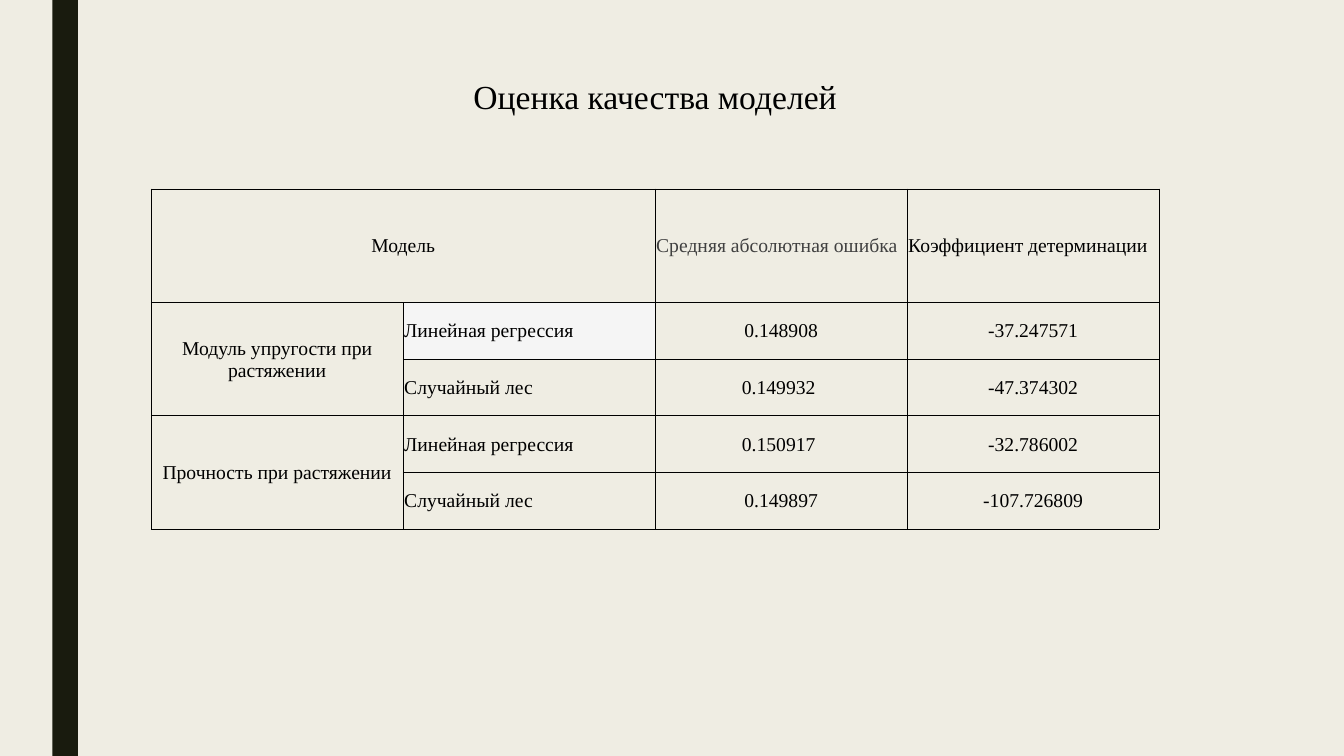
from dataclasses import dataclass

from lxml.etree import SubElement
from pptx import Presentation
from pptx.dml.color import RGBColor
from pptx.enum.shapes import MSO_SHAPE
from pptx.enum.text import MSO_ANCHOR, PP_ALIGN
from pptx.oxml.ns import qn
from pptx.slide import Slide
from pptx.table import Table, _Cell
from pptx.text.text import TextFrame
from pptx.util import Emu, Inches, Pt

WIDTH, HEIGHT = Inches(13.33), Inches(7.5)
FONT = "Times New Roman"

CREAM = RGBColor(0xEF, 0xED, 0xE3)
OLIVE = RGBColor(0x19, 0x1B, 0x0E)
BLACK = RGBColor(0x00, 0x00, 0x00)
GREY = RGBColor(0x40, 0x40, 0x40)
PALE = RGBColor(0xF5, 0xF5, 0xF5)

# Shares of the slide's width and height
LEFT = 0.1125
COLUMN = 0.1875
ROW = 0.075
COLUMN_COUNT = 4
ROW_SPANS = (2, 1, 1, 1, 1)


@dataclass(frozen=True)
class Entry:
    row: int
    column: int
    text: str
    align: PP_ALIGN = PP_ALIGN.CENTER
    color: RGBColor = BLACK
    fill: RGBColor | None = None
    rows: int = 1
    columns: int = 1


@dataclass(frozen=True)
class Score:
    model: str
    error: str
    determination: str
    fill: RGBColor | None = None


HEADINGS = [
    Entry(0, 0, "Модель", columns=2),
    Entry(0, 2, "Средняя абсолютная ошибка", PP_ALIGN.LEFT, GREY),
    Entry(0, 3, "Коэффициент детерминации", PP_ALIGN.LEFT),
    Entry(1, 0, "Модуль упругости при растяжении", rows=2),
    Entry(3, 0, "Прочность при растяжении", rows=2),
]
SCORES = [
    Score("Линейная регрессия", "0.148908", "-37.247571", PALE),
    Score("Случайный лес", "0.149932 ", "-47.374302"),
    Score("Линейная регрессия", "0.150917 ", "-32.786002"),
    Score("Случайный лес", "0.149897", "-107.726809"),
]


def across(share: float) -> Emu:
    return Emu(round(WIDTH * share))


def down(share: float) -> Emu:
    return Emu(round(HEIGHT * share))


def write(frame: TextFrame, text: str, *, size: float = 14, color: RGBColor = BLACK,
          align: PP_ALIGN = PP_ALIGN.CENTER, spacing: float = 1.0) -> None:
    paragraph = frame.paragraphs[0]
    paragraph.alignment = align
    paragraph.line_spacing = spacing
    run = paragraph.add_run()
    run.text = text
    run.font.name = FONT
    run.font.size = Pt(size)
    run.font.color.rgb = color


def add_borders(cell: _Cell) -> None:
    properties = cell._tc.get_or_add_tcPr()
    for side in ("a:lnL", "a:lnR", "a:lnT", "a:lnB"):
        line = SubElement(properties, qn(side), w=str(Pt(0.5)))
        SubElement(SubElement(line, qn("a:solidFill")), qn("a:srgbClr"), val=str(BLACK))


def fill_entry(table: Table, entry: Entry) -> None:
    cell = table.cell(entry.row, entry.column)
    if entry.rows * entry.columns > 1:
        cell.merge(table.cell(entry.row + entry.rows - 1, entry.column + entry.columns - 1))
    write(cell.text_frame, entry.text, color=entry.color, align=entry.align)
    if entry.fill is not None:
        cell.fill.solid()
        cell.fill.fore_color.rgb = entry.fill


def add_scores_table(slide: Slide) -> None:
    table = slide.shapes.add_table(
        len(ROW_SPANS), COLUMN_COUNT, across(LEFT), down(0.25),
        across(COLUMN * COLUMN_COUNT), down(ROW * sum(ROW_SPANS))).table
    table.first_row = table.horz_banding = False
    for column in table.columns:
        column.width = across(COLUMN)
    for row, span in zip(table.rows, ROW_SPANS):
        row.height = down(ROW * span)
    for cell in table.iter_cells():
        add_borders(cell)
        cell.fill.background()
        cell.vertical_anchor = MSO_ANCHOR.MIDDLE
        cell.margin_left = cell.margin_right = cell.margin_top = Inches(0.01)
        cell.margin_bottom = 0

    for heading in HEADINGS:
        fill_entry(table, heading)
    for row, score in enumerate(SCORES, start=1):
        fill_entry(table, Entry(row, 1, score.model, PP_ALIGN.LEFT, fill=score.fill))
        fill_entry(table, Entry(row, 2, score.error))
        fill_entry(table, Entry(row, 3, score.determination))


def add_side_bar(slide: Slide) -> None:
    bar = slide.shapes.add_shape(MSO_SHAPE.RECTANGLE, across(0.039), 0, across(0.019), HEIGHT)
    bar.shadow.inherit = False
    bar.fill.solid()
    bar.fill.fore_color.rgb = OLIVE
    bar.line.fill.background()


def add_title(slide: Slide) -> None:
    title = slide.shapes.add_textbox(
        across(LEFT), down(0.1), across(COLUMN * COLUMN_COUNT), down(0.092)).text_frame
    title.word_wrap = True
    title.vertical_anchor = MSO_ANCHOR.TOP
    write(title, "Оценка качества моделей", size=24, spacing=0.89)


def main() -> None:
    presentation = Presentation()
    presentation.slide_width, presentation.slide_height = WIDTH, HEIGHT
    slide = presentation.slides.add_slide(presentation.slide_layouts[6])

    # Background and side bar
    slide.background.fill.solid()
    slide.background.fill.fore_color.rgb = CREAM
    add_side_bar(slide)

    # Title and model scores
    add_title(slide)
    add_scores_table(slide)

    presentation.save("out.pptx")


if __name__ == "__main__":
    main()
